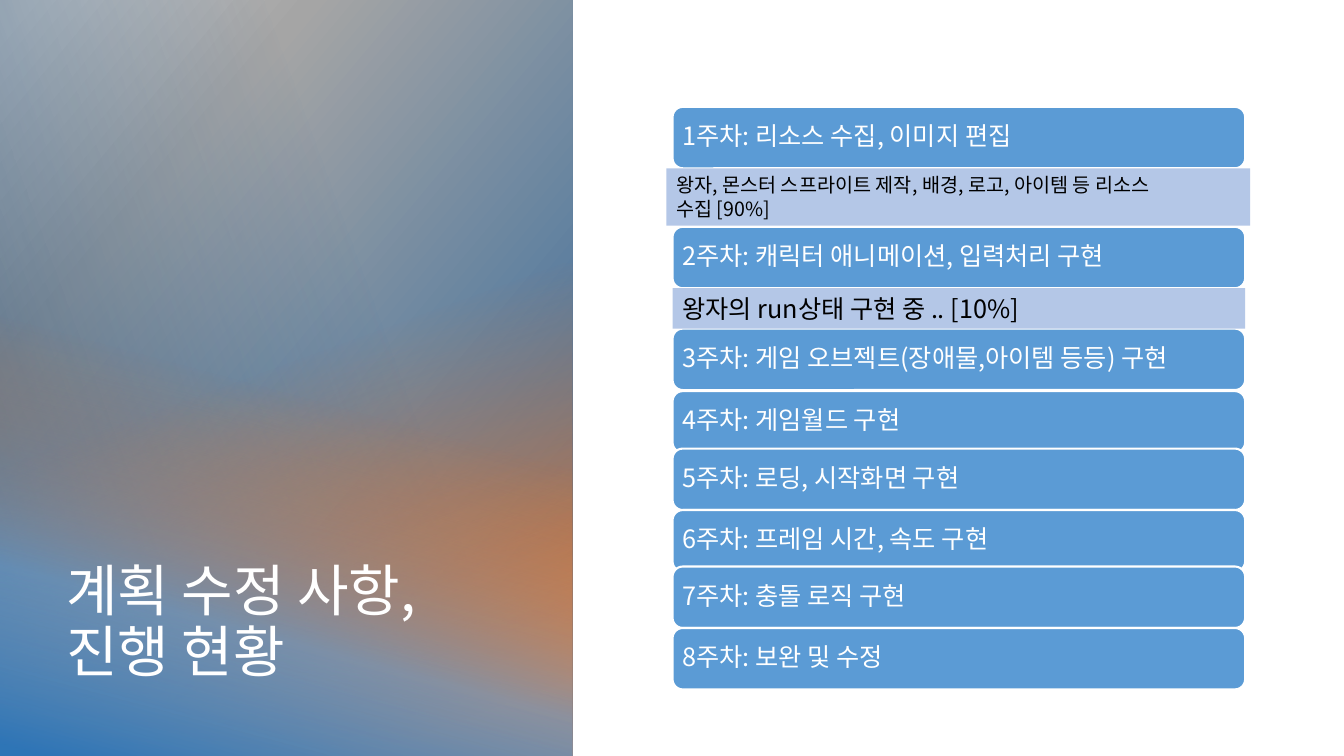
"""Build the slide on plan changes and weekly progress."""
from lxml.etree import SubElement
from pptx import Presentation
from pptx.dml.color import RGBColor
from pptx.enum.shapes import MSO_SHAPE as SHAPE
from pptx.enum.text import MSO_ANCHOR as ANCHOR, PP_ALIGN as ALIGN
from pptx.oxml.ns import qn
from pptx.util import Inches, Pt

COLORS = {
    "white": "FFFFFF", "black": "000000", "week": "5B9BD5", "note": "B4C7E7",
    "navy": "163E64", "deep": "215F9A", "blue": "2E75B6", "orange": "ED7D31",
    "gray": "A5A5A5", "silver": "C9C9C9",
}
FONT = "Noto Sans CJK KR"


class Deck:
    """Hold the style and the current slide."""

    def __init__(self, prs):
        """Add a title-only slide."""
        self.slide = prs.slides.add_slide(prs.slide_layouts[5])

    def rgb(self, name):
        """Return a named colour."""
        return RGBColor.from_string(COLORS[name])

    def shape(self, kind, x, y, w, h):
        """Add a shape with no line and no shadow."""
        sp = self.slide.shapes.add_shape(kind, Inches(x), Inches(y), Inches(w), Inches(h))
        sp.shadow.inherit = False
        sp.line.fill.background()
        return sp

    def gradient(self, x, y, w, h, angle, stops, rotation=0):
        """Add a rectangle faded through (position, colour, opacity) stops."""
        sp = self.shape(SHAPE.RECTANGLE, x, y, w, h)
        sp.rotation = rotation
        sp.fill.gradient()
        sp.fill.gradient_angle = 360 - angle
        gs_list = sp._element.spPr.find(qn("a:gradFill")).find(qn("a:gsLst"))
        gs_list.clear()
        for pos, color, opacity in stops:
            gs = SubElement(gs_list, qn("a:gs"), pos=str(pos * 1000))
            clr = SubElement(gs, qn("a:srgbClr"), val=COLORS[color])
            if opacity < 100:
                SubElement(clr, qn("a:alpha"), val=str(opacity * 1000))

    def text(self, sp, lines, size, color, anchor, spacing=1.0):
        """Fill a shape with left-aligned paragraphs."""
        tf = sp.text_frame
        tf.word_wrap = True
        tf.vertical_anchor = anchor
        tf.text = "\n".join(lines)
        for p in tf.paragraphs:
            p.alignment = ALIGN.LEFT
            p.line_spacing = spacing
            p.font.size = Pt(size)
            p.font.name = FONT
            p.font.color.rgb = self.rgb(color)
            SubElement(p.font._element, qn("a:ea"), typeface=FONT)

    def title(self, x, y, w, h, text):
        """Place the title in front of the shapes drawn so far."""
        sp = self.slide.shapes.title
        sp.left, sp.top, sp.width, sp.height = (Inches(v) for v in (x, y, w, h))
        self.slide.shapes._spTree.append(sp._element)
        self.text(sp, [text], 40, "white", ANCHOR.BOTTOM, 0.9)

    def week(self, y, text):
        """Add one week of the plan."""
        sp = self.shape(SHAPE.ROUNDED_RECTANGLE, 6.67, y, 5.68, 0.61)
        sp.fill.solid()
        sp.fill.fore_color.rgb = self.rgb("week")
        sp.line.color.rgb = self.rgb("white")
        sp.line.width = Pt(1.5)
        tf = sp.text_frame
        tf.margin_left = tf.margin_right = tf.margin_top = tf.margin_bottom = Inches(0.07)
        self.text(sp, [text], 18, "white", ANCHOR.MIDDLE, 0.9)

    def note(self, x, y, w, h, size, lines):
        """Add a progress note under a week."""
        sp = self.shape(SHAPE.RECTANGLE, x, y, w, h)
        sp.fill.solid()
        sp.fill.fore_color.rgb = self.rgb("note")
        self.text(sp, lines, size, "black", ANCHOR.TOP)


WEEKS = [
    (1.06, "리소스 수집, 이미지 편집"),
    (2.25, "캐릭터 애니메이션, 입력처리 구현"),
    (3.26, "게임 오브젝트(장애물,아이템 등등) 구현"),
    (3.88, "게임월드 구현"),
    (4.45, "로딩, 시작화면 구현"),
    (5.06, "프레임 시간, 속도 구현"),
    (5.62, "충돌 로직 구현"),
    (6.23, "보완 및 수정"),
]

prs = Presentation()
prs.slide_width, prs.slide_height = Inches(13.33), Inches(7.5)
s = Deck(prs)

s.gradient(0, 0, 5.68, 7.5, 40,
           [(0, "deep", 100), (74, "gray", 100), (98, "silver", 100)], rotation=180)
s.gradient(0, 0, 5.04, 7.52, 340, [(0, "navy", 59), (69, "deep", 0)])
s.gradient(0, 2.61, 5.68, 4.91, 250, [(11, "orange", 100), (71, "orange", 0)])
s.gradient(0, 2.86, 5.68, 4.66, 285,
           [(2, "blue", 100), (31, "week", 66), (71, "orange", 0)])
s.title(0.56, 4.4, 4.37, 2.44, "계획 수정 사항, 진행 현황")

for number, (top, task) in enumerate(WEEKS, 1):
    s.week(top, f"{number}주차: {task}")
s.note(6.61, 1.67, 5.79, 0.57, 14,
       ["왕자, 몬스터 스프라이트 제작, 배경, 로고, 아이템 등 리소스", "수집 [90%]"])
s.note(6.67, 2.86, 5.68, 0.4, 18, ["왕자의 run상태 구현 중 .. [10%]"])

prs.save("out.pptx")
